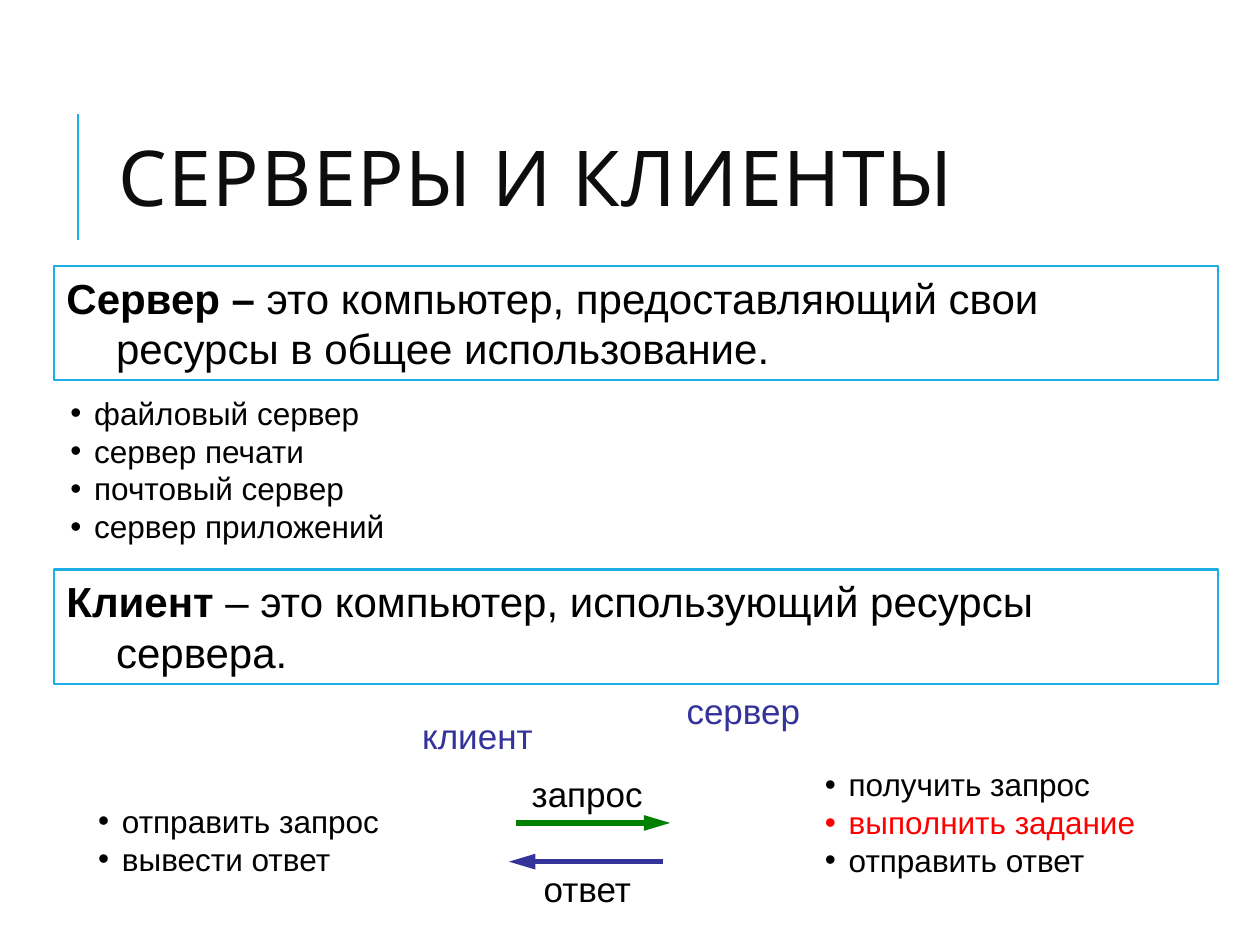
from lxml import etree
from pptx import Presentation
from pptx.dml.color import RGBColor
from pptx.enum.shapes import MSO_CONNECTOR, MSO_SHAPE
from pptx.enum.text import MSO_ANCHOR, PP_ALIGN
from pptx.oxml.ns import qn
from pptx.util import Cm, Pt

STRAIGHT = MSO_CONNECTOR.STRAIGHT
RECTANGLE = MSO_SHAPE.RECTANGLE
TOP, MIDDLE = MSO_ANCHOR.TOP, MSO_ANCHOR.MIDDLE
LEFT, CENTER = PP_ALIGN.LEFT, PP_ALIGN.CENTER

BLACK, WHITE, RED = "000000", "FFFFFF", "FF0000"
ACCENT, GREEN, BLUE = "1CADE4", "008000", "333399"

TITLE = "СЕРВЕРЫ И КЛИЕНТЫ"
DEFINITIONS = [
    (5.36, "Сервер – ", "это компьютер, предоставляющий свои ресурсы в общее использование."),
    (11.48, "Клиент", " – это компьютер, использующий ресурсы сервера."),
]
BULLET_LISTS = [
    ((1.17, 7.8, 23.34, 3.33), [
        ("файловый сервер", BLACK),
        ("сервер печати", BLACK),
        ("почтовый сервер", BLACK),
        ("сервер приложений", BLACK),
    ]),
    ((1.73, 16.03, 8.89, 1.8), [
        ("отправить запрос", BLACK),
        ("вывести ответ", BLACK),
    ]),
    ((16.38, 15.29, 9.52, 2.57), [
        ("получить запрос", BLACK),
        ("выполнить задание", RED),
        ("отправить ответ", BLACK),
    ]),
]
LABELS = [
    ((13.59, 13.77, 3.02, 1.12), "cервер", BLUE, LEFT, False),
    ((8.26, 14.27, 2.77, 1.12), "клиент", BLUE, LEFT, False),
    ((10.24, 15.44, 3.2, 1.12), "запрос", BLACK, CENTER, True),
    ((10.24, 17.37, 3.2, 1.12), "ответ", BLACK, CENTER, True),
]
ARROWS = [
    (10.41, 13.51, 16.59, GREEN),
    (13.36, 10.26, 17.37, BLUE),
]


def color(value):
    return RGBColor.from_string(value)


def style(font, size, value, name="Arial"):
    font.size = Pt(size)
    font.name = name
    font.color.rgb = color(value)


def indent(paragraph, length, bullet=None):
    properties = paragraph._p.get_or_add_pPr()
    properties.set("marL", str(Cm(length)))
    properties.set("indent", str(-Cm(length)))
    if bullet:
        etree.SubElement(properties, qn("a:buFont")).set("typeface", "Arial")
        etree.SubElement(properties, qn("a:buChar")).set("char", bullet)


def add_text_box(slide, box, anchor=TOP, wrap=True):
    frame = slide.shapes.add_textbox(*map(Cm, box)).text_frame
    frame.word_wrap = wrap
    frame.vertical_anchor = anchor
    return frame


def add_line(slide, start, end, value, width, arrow=False):
    connector = slide.shapes.add_connector(STRAIGHT, *map(Cm, start + end))
    connector.line.color.rgb = color(value)
    connector.line.width = Pt(width)
    if arrow:
        tail = etree.SubElement(connector.line._get_or_add_ln(), qn("a:tailEnd"))
        tail.set("type", "triangle")
        tail.set("w", "med")
        tail.set("len", "lg")
    etree.SubElement(connector._element.spPr, qn("a:effectLst"))


def add_title(slide):
    add_line(slide, (1.57, 4.83), (1.57, 2.29), ACCENT, 1.5)
    paragraph = add_text_box(slide, (2.13, 1.63, 20.24, 4.17), MIDDLE).paragraphs[0]
    paragraph.line_spacing = 0.8
    run = paragraph.add_run()
    run.text = TITLE
    style(run.font, 44, "0D0D0D", "Cabin")
    run._r.get_or_add_rPr().set("spc", "100")


def add_definition(slide, top, term, meaning):
    shape = slide.shapes.add_shape(RECTANGLE, Cm(1.09), Cm(top), Cm(23.47), Cm(2.31))
    shape.shadow.inherit = False
    shape.fill.solid()
    shape.fill.fore_color.rgb = color(WHITE)
    shape.line.color.rgb = color(ACCENT)
    shape.line.width = Pt(1.25)
    shape.text_frame.vertical_anchor = TOP
    paragraph = shape.text_frame.paragraphs[0]
    paragraph.alignment = LEFT
    indent(paragraph, 1)
    style(paragraph.font, 24, BLACK)
    for text, bold in ((term, True), (meaning, False)):
        run = paragraph.add_run()
        run.text = text
        run.font.bold = bold
        style(run.font, 24, BLACK)


def add_bullets(slide, box, items):
    frame = add_text_box(slide, box, MIDDLE)
    for index, (text, value) in enumerate(items):
        paragraph = frame.add_paragraph() if index else frame.paragraphs[0]
        paragraph.text = text
        indent(paragraph, 0.48, "•")
        style(paragraph.font, 18, value)
        style(paragraph.runs[0].font, 18, value)


def add_label(slide, box, text, value, alignment, wrap):
    paragraph = add_text_box(slide, box, wrap=wrap).paragraphs[0]
    paragraph.text = text
    paragraph.alignment = alignment
    style(paragraph.font, 20, value)


def main():
    presentation = Presentation()
    presentation.slide_width, presentation.slide_height = Cm(25.4), Cm(19.05)
    slide = presentation.slides.add_slide(presentation.slide_layouts[6])
    add_title(slide)
    for definition in DEFINITIONS:
        add_definition(slide, *definition)
    for box, items in BULLET_LISTS:
        add_bullets(slide, box, items)
    for start, end, height, value in ARROWS:
        add_line(slide, (start, height), (end, height), value, 3, arrow=True)
    for label in LABELS:
        add_label(slide, *label)
    presentation.save("out.pptx")


if __name__ == "__main__":
    main()
